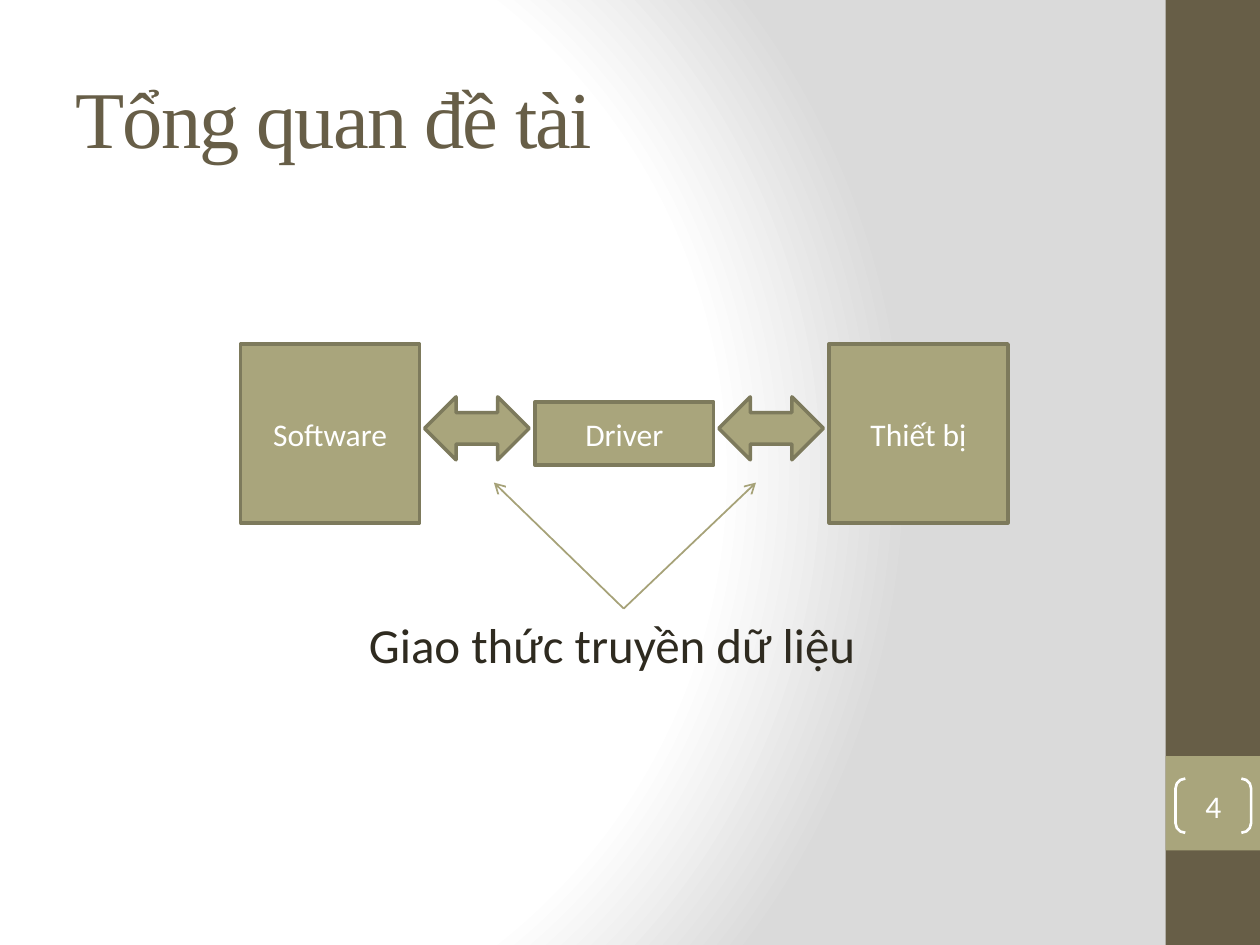
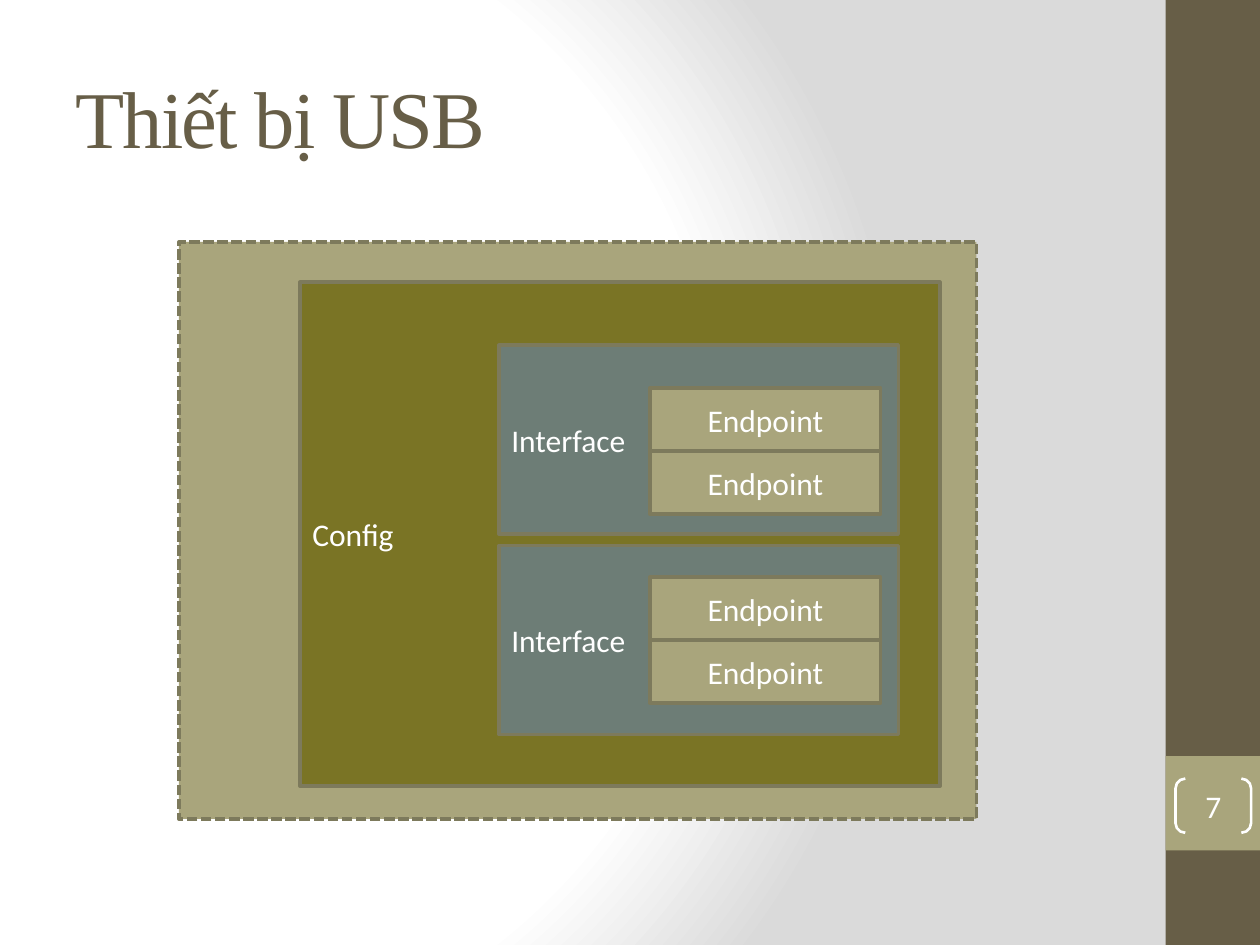
"""Build two slides on a device driver and the layers of a USB device."""
from lxml import etree
from pptx import Presentation
from pptx.dml.color import RGBColor
from pptx.enum.dml import MSO_LINE
from pptx.enum.shapes import MSO_CONNECTOR, MSO_SHAPE
from pptx.enum.text import MSO_ANCHOR, PP_ALIGN
from pptx.oxml import parse_xml
from pptx.oxml.ns import nsdecls, qn
from pptx.util import Inches, Pt

RECT = MSO_SHAPE.RECTANGLE
SWAP = MSO_SHAPE.LEFT_RIGHT_ARROW
PAIR = MSO_SHAPE.DOUBLE_BRACKET
STRAIGHT = MSO_CONNECTOR.STRAIGHT
DASH = MSO_LINE.SQUARE_DOT
LEFT, MID = PP_ALIGN.LEFT, PP_ALIGN.CENTER
TOP, CENTER = MSO_ANCHOR.TOP, MSO_ANCHOR.MIDDLE
HEAD, BODY = "Times New Roman", "Calibri"
COLORS = {
    "white": "FFFFFF", "gray": "DADADA", "brown": "675E47",
    "sand": "A9A57C", "edge": "7D7A5C", "olive": "7A7425",
    "slate": "6D7D76", "ink": "2F2B20", "ray": "A6A278",
}


def color(name):
    """Return the named colour."""
    return RGBColor.from_string(COLORS[name])


def write(shape, text, size=18, font=BODY, ink="white", align=MID,
          anchor=CENTER, track=0, before=0, inset=None):
    """Set the text of a shape and its format."""
    frame = shape.text_frame
    frame.word_wrap = True
    frame.vertical_anchor = anchor
    if inset is not None:
        frame.margin_left = frame.margin_right = Inches(inset)
        frame.margin_top = frame.margin_bottom = Inches(inset)
    para = frame.paragraphs[0]
    para.alignment = align
    para.space_before = Pt(before)
    run = para.add_run()
    run.text = text
    run.font.size = Pt(size)
    run.font.name = font
    run.font.color.rgb = color(ink)
    if track:
        run.font._element.set("spc", str(track * 100))


def label(slide, area, text, **style):
    """Add a text box."""
    write(slide.shapes.add_textbox(*map(Inches, area)), text, **style)


def block(slide, area, text="", kind=RECT, fill="sand", line="edge",
          width=2, dash=None, **style):
    """Add a preset shape, with text if there is any."""
    shape = slide.shapes.add_shape(kind, *map(Inches, area))
    shape.shadow.inherit = False
    if fill:
        shape.fill.solid()
        shape.fill.fore_color.rgb = color(fill)
    else:
        shape.fill.background()
    if line:
        shape.line.color.rgb = color(line)
        shape.line.width = Pt(width)
        if dash:
            shape.line.dash_style = dash
    else:
        shape.line.fill.background()
    if text:
        write(shape, text, **style)
    return shape


def arrow(slide, start, end):
    """Add a thin line with an open arrowhead at its end."""
    link = slide.shapes.add_connector(STRAIGHT, *map(Inches, start + end))
    link.line.color.rgb = color("ray")
    link.line.width = Pt(1)
    etree.SubElement(link.line._get_or_add_ln(), qn("a:tailEnd"), type="arrow")
    etree.SubElement(link._element.spPr, qn("a:effectLst"))


def shade(slide):
    """Give the slide a round gradient background."""
    stops = "".join(
        f'<a:gs pos="{pos}000"><a:srgbClr val="{COLORS[name]}"/></a:gs>'
        for pos, name in ((0, "white"), (75, "white"), (100, "gray")))
    slide.element.cSld.insert(0, parse_xml(
        f'<p:bg {nsdecls("p", "a")}><p:bgPr><a:gradFill rotWithShape="1">'
        f'<a:gsLst>{stops}</a:gsLst><a:path path="circle">'
        '<a:fillToRect l="20000" t="50000" r="100000" b="50000"/>'
        '</a:path></a:gradFill><a:effectLst/></p:bgPr></p:bg>'))


def start(deck, title, number):
    """Add a slide with its background, side band, title and number."""
    slide = deck.slides.add_slide(deck.slide_layouts[6])
    shade(slide)
    block(slide, (9.25, 0, 0.75, 7.5), fill="brown", line=None)
    block(slide, (9.25, 6, 0.75, 0.75), line=None)
    label(slide, (0.5, 0.3, 8.33, 1.25), title, size=46, font=HEAD,
          ink="brown", align=LEFT, track=-1)
    mark = block(slide, (9.33, 6.18, 0.6, 0.43), str(number), kind=PAIR,
                 fill=None, line="white", width=1.5, inset=0)
    mark.adjustments[0] = 0.18
    return slide


def flow(deck):
    """Show software, driver and device joined by a protocol."""
    slide = start(deck, "Tổng quan đề tài", 4)
    label(slide, (2.83, 4.83, 9.5, 0.89), "Giao thức truyền dữ liệu",
          size=28, ink="ink", align=LEFT, anchor=TOP, before=3)
    side, step, axis = 1.42, 2.335, 3.44
    parts = (("Software", side), ("Driver", 0.5), ("Thiết bị", side))
    for col, (text, high) in enumerate(parts):
        left = 1.91 + col * step
        block(slide, (left, axis - high / 2, side, high), text)
    for col, tip in enumerate((3.92, 6)):
        block(slide, (3.37 + col * step, 3.15, 0.83, 0.5), kind=SWAP)
        arrow(slide, (4.95, 4.83), (tip, 3.83))


def nest(deck):
    """Show the nested layers of a USB device."""
    slide = start(deck, "Thiết bị USB", 7)
    block(slide, (1.42, 1.92, 6.33, 4.58), dash=DASH)
    block(slide, (2.38, 2.24, 5.08, 4), "Config", fill="olive", align=LEFT)
    for top, first in ((2.74, 3.08), (4.33, 4.58)):
        block(slide, (3.96, top, 3.17, 1.5), "Interface", fill="slate",
              align=LEFT)
        for row in range(2):
            block(slide, (5.16, first + row * 0.5, 1.83, 0.5), "Endpoint")


def main():
    """Build and save the deck."""
    deck = Presentation()
    deck.slide_width, deck.slide_height = Inches(10), Inches(7.5)
    flow(deck)
    nest(deck)
    deck.save("out.pptx")


main()
